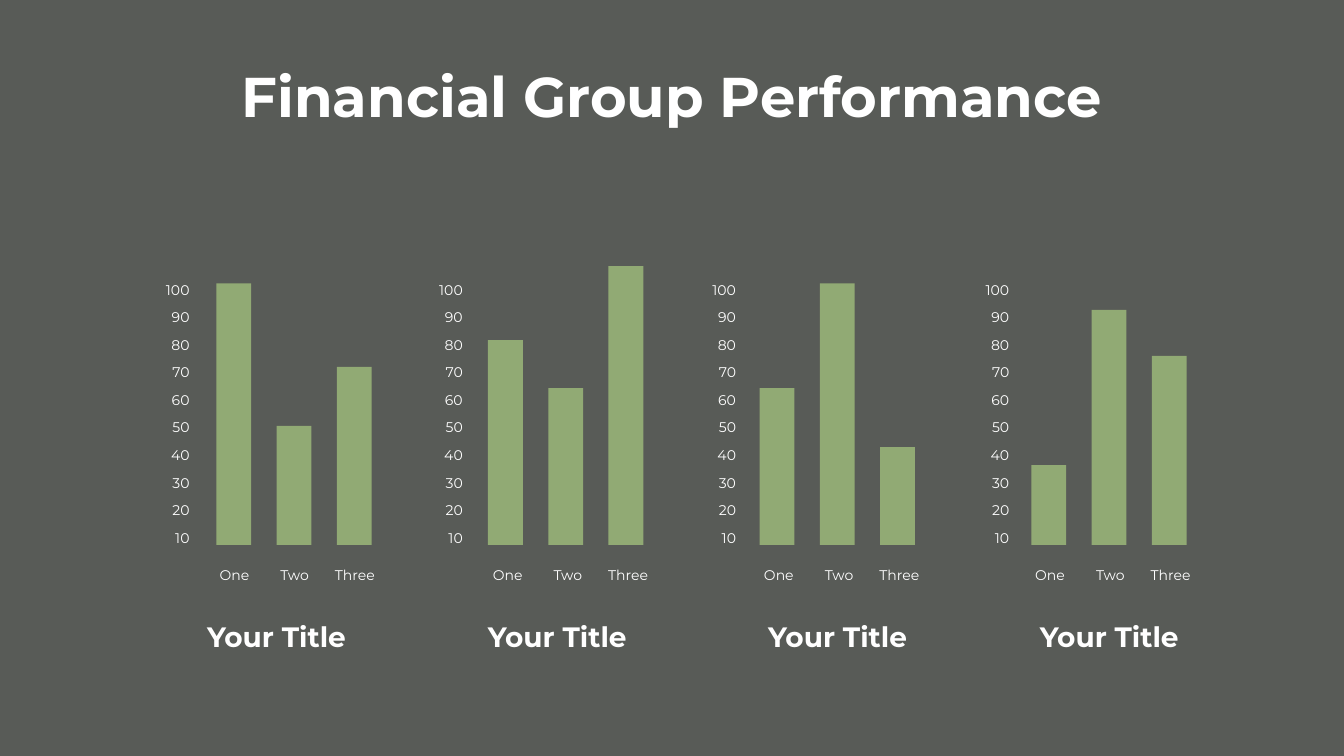
from dataclasses import dataclass

from pptx import Presentation
from pptx.dml.color import RGBColor
from pptx.enum.shapes import MSO_SHAPE as Shape
from pptx.enum.text import MSO_AUTO_SIZE as AutoSize, PP_ALIGN as Align
from pptx.slide import Slide
from pptx.util import Inches, Pt

WHITE = RGBColor(0xFF, 0xFF, 0xFF)
GREY = RGBColor(0x58, 0x5B, 0x57)
GREEN = RGBColor(0x91, 0xAA, 0x74)
FONT = "Montserrat"

WIDTH, HEIGHT = 26.66, 15
BASELINE = 10.81
BAR_WIDTH, BAR_STEP = 0.69, 1.195
FIRST_BAR, BAR_PANEL_STEP = 4.29, 5.39
FIRST_AXIS, AXIS_PANEL_STEP = 2.78, 5.42
CATEGORIES = ["One", "Two", "Three"]
TICKS = [str(value) for value in range(100, 0, -10)]


@dataclass
class Panel:
    bar_heights: tuple[float, float, float]
    labels_left: float
    title_left: float


@dataclass
class TextStyle:
    size: int
    bold: bool = False
    align: Align = Align.CENTER
    line_spacing: float = 1.0
    space_before: float = 0
    margin_x: float = 0.1
    margin_y: float = 0.05


PANELS = [
    Panel((5.19, 2.36, 3.53), 3.98, 3.1),
    Panel((4.06, 3.11, 5.53), 9.4, 8.67),
    Panel((3.11, 5.19, 1.94), 14.78, 14.23),
    Panel((1.58, 4.66, 3.75), 20.16, 19.62),
]
HEADING = TextStyle(80, bold=True)
PANEL_TITLE = TextStyle(40, bold=True)
LABEL = TextStyle(20, line_spacing=1.5, margin_x=0.24, margin_y=0.12)
AXIS = TextStyle(20, align=Align.RIGHT, line_spacing=1.5, space_before=3.4,
                 margin_x=0.24, margin_y=0.12)


def add_block(page: Slide, left: float, top: float, width: float,
              height: float, color: RGBColor) -> None:
    block = page.shapes.add_shape(Shape.RECTANGLE, Inches(left), Inches(top),
                                  Inches(width), Inches(height))
    block.shadow.inherit = False
    block.fill.solid()
    block.fill.fore_color.rgb = color
    block.line.fill.background()


def add_text(page: Slide, lines: list[str], left: float, top: float,
             width: float, height: float, style: TextStyle) -> None:
    box = page.shapes.add_textbox(Inches(left), Inches(top),
                                  Inches(width), Inches(height))
    frame = box.text_frame
    frame.word_wrap = True
    frame.auto_size = AutoSize.SHAPE_TO_FIT_TEXT
    frame.margin_left = frame.margin_right = Inches(style.margin_x)
    frame.margin_top = frame.margin_bottom = Inches(style.margin_y)
    frame.text = "\n".join(lines)
    for index, para in enumerate(frame.paragraphs):
        para.alignment = style.align
        para.line_spacing = style.line_spacing
        if index:
            para.space_before = Pt(style.space_before)
        para.font.name = FONT
        para.font.size = Pt(style.size)
        para.font.bold = style.bold
        para.font.color.rgb = WHITE


def add_panel(page: Slide, index: int, panel: Panel) -> None:
    # Value axis
    axis_left = FIRST_AXIS + index * AXIS_PANEL_STEP
    add_text(page, TICKS, axis_left, 5.29, 1.22, 5.84, AXIS)

    # Bars and their categories
    bars_left = FIRST_BAR + index * BAR_PANEL_STEP
    for column, (name, height) in enumerate(zip(CATEGORIES, panel.bar_heights)):
        offset = column * BAR_STEP
        add_block(page, bars_left + offset, BASELINE - height,
                  BAR_WIDTH, height, GREEN)
        add_text(page, [name], panel.labels_left + offset, 10.96,
                 1.34, 0.69, LABEL)

    # Panel title
    add_text(page, ["Your Title"], panel.title_left, 12.24, 4.77, 0.77,
             PANEL_TITLE)


def main() -> None:
    deck = Presentation()
    deck.slide_width, deck.slide_height = Inches(WIDTH), Inches(HEIGHT)
    page = deck.slides.add_slide(deck.slide_layouts[6])

    # Backdrop and heading
    add_block(page, 0, 0, WIDTH, HEIGHT, GREY)
    add_text(page, ["Financial Group Performance"], 2.46, 1.18, 21.74, 1.45,
             HEADING)

    # Four bar panels
    for index, panel in enumerate(PANELS):
        add_panel(page, index, panel)

    deck.save("out.pptx")


if __name__ == "__main__":
    main()
